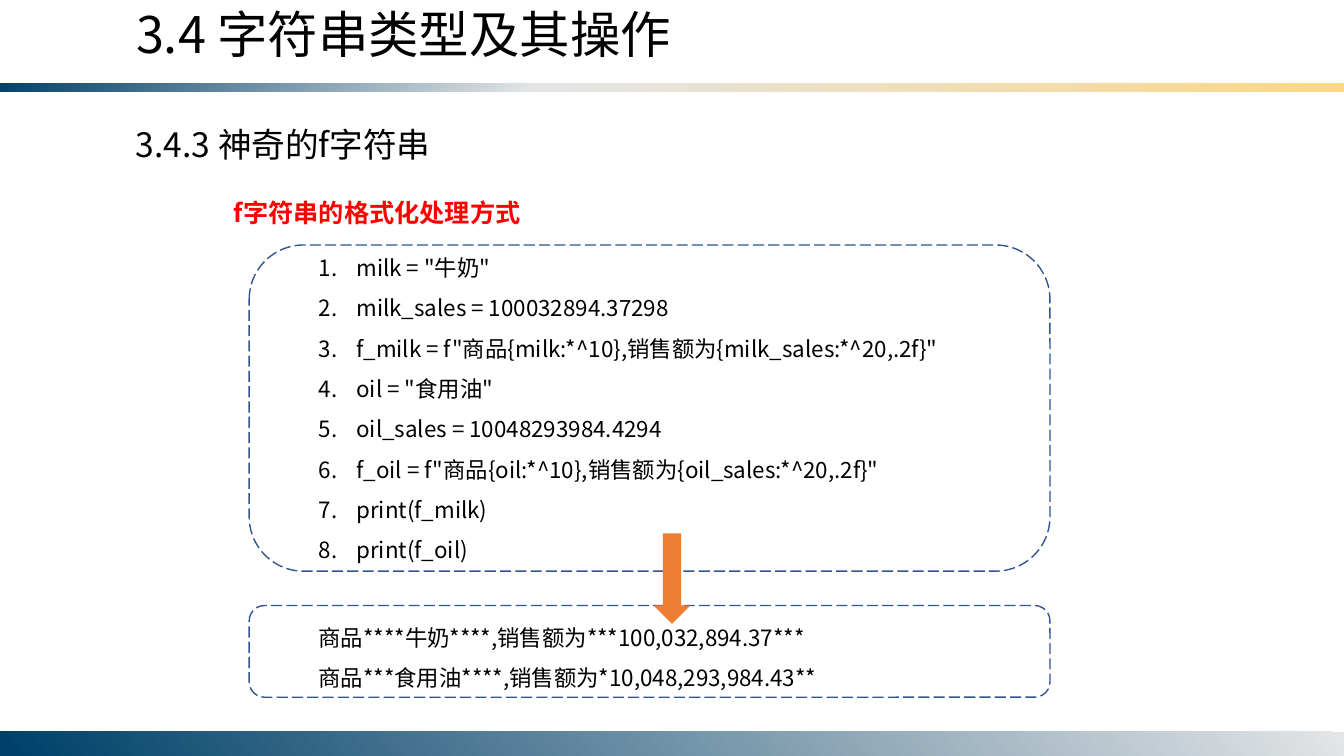
from lxml.etree import SubElement
from pptx import Presentation
from pptx.dml.color import RGBColor
from pptx.enum.dml import MSO_LINE
from pptx.enum.shapes import MSO_SHAPE as Preset
from pptx.enum.text import MSO_ANCHOR, MSO_AUTO_SIZE, PP_ALIGN
from pptx.oxml.ns import qn
from pptx.util import Pt

BLACK = RGBColor(0x00, 0x00, 0x00)
RED = RGBColor(0xFF, 0x00, 0x00)
OUTLINE = RGBColor(0x32, 0x54, 0x91)
ORANGE = RGBColor(0xED, 0x7D, 0x31)
NAVY = RGBColor(0x00, 0x41, 0x6A)
SILVER = RGBColor(0xE4, 0xE5, 0xE6)
GOLD = RGBColor(0xFB, 0xD7, 0x86)

SLIDE_WIDTH, SLIDE_HEIGHT = 960, 540
TITLE_LEFT = 90
PANEL_LEFT, PANEL_WIDTH = 178, 572
CODE_LEFT = 220.5
OUTPUT_TOP, OUTPUT_HEIGHT = 432.5, 65.5

CODE = [
    'milk = "牛奶"',
    "milk_sales = 100032894.37298",
    'f_milk = f"商品{milk:*^10},销售额为{milk_sales:*^20,.2f}"',
    'oil = "食用油"',
    "oil_sales = 10048293984.4294",
    'f_oil = f"商品{oil:*^10},销售额为{oil_sales:*^20,.2f}"',
    "print(f_milk)",
    "print(f_oil)",
]
OUTPUT = [
    "商品****牛奶****,销售额为***100,032,894.37***",
    "商品***食用油****,销售额为*10,048,293,984.43**",
]


class SlideBuilder:
    """Draws styled elements on one slide, with lengths in points."""

    font_name = "Noto Sans CJK SC"

    def __init__(self, slide):
        self.slide = slide

    def title(self, box, text, size):
        shape = self.slide.shapes.title
        shape.left, shape.top, shape.width, shape.height = map(Pt, box)
        self.fill_text(shape.text_frame, [text], size)

    def text(self, box, lines, size, **style):
        shape = self.slide.shapes.add_textbox(*map(Pt, box))
        self.fill_text(shape.text_frame, lines, size, **style)

    def fill_text(self, frame, lines, size, color=BLACK, bold=False,
                  spacing=0.9, indent=0, numbered=False):
        frame.word_wrap = True
        frame.auto_size = MSO_AUTO_SIZE.SHAPE_TO_FIT_TEXT
        frame.vertical_anchor = MSO_ANCHOR.TOP
        frame.text = "\n".join(lines)
        for paragraph in frame.paragraphs:
            paragraph.alignment = PP_ALIGN.LEFT
            paragraph.line_spacing = spacing
            properties = paragraph._p.get_or_add_pPr()
            if numbered:
                properties.set("marL", str(Pt(indent)))
                properties.set("indent", str(-Pt(indent)))
                SubElement(properties, qn("a:buAutoNum"), type="arabicPeriod")
            elif indent:
                properties.set("indent", str(Pt(indent)))
            for run in paragraph.runs:
                run.font.size = Pt(size)
                run.font.bold = bold
                run.font.color.rgb = color
                run.font.name = self.font_name
                SubElement(run._r.get_or_add_rPr(), qn("a:ea"),
                           typeface=self.font_name)

    def shape(self, preset, box):
        shape = self.slide.shapes.add_shape(preset, *map(Pt, box))
        shape.shadow.inherit = False
        return shape

    def panel(self, box):
        shape = self.shape(Preset.ROUNDED_RECTANGLE, box)
        shape.fill.background()
        shape.line.color.rgb = OUTLINE
        shape.line.width = Pt(1)
        shape.line.dash_style = MSO_LINE.LONG_DASH

    def arrow(self, box):
        shape = self.shape(Preset.DOWN_ARROW, box)
        shape.fill.solid()
        shape.fill.fore_color.rgb = ORANGE
        shape.line.color.rgb = ORANGE
        shape.line.width = Pt(1)

    def gradient_bar(self, box, stops, angle):
        shape = self.shape(Preset.RECTANGLE, box)
        shape.line.fill.background()
        shape.fill.gradient()
        gradient = shape._element.spPr.find(qn("a:gradFill"))
        gradient.find(qn("a:lin")).set("ang", str(angle * 60000))
        stop_list = gradient.find(qn("a:gsLst"))
        for old_stop in list(stop_list):
            stop_list.remove(old_stop)
        for position, color in stops:
            stop = SubElement(stop_list, qn("a:gs"), pos=str(position * 1000))
            SubElement(stop, qn("a:srgbClr"), val=str(color))


def main():
    presentation = Presentation()
    presentation.slide_width = Pt(SLIDE_WIDTH)
    presentation.slide_height = Pt(SLIDE_HEIGHT)
    layout = presentation.slide_layouts.get_by_name("Title Only")
    builder = SlideBuilder(presentation.slides.add_slide(layout))

    builder.gradient_bar((0, 59.5, SLIDE_WIDTH, 6),
                         [(0, NAVY), (40, SILVER), (100, GOLD)], 50)
    builder.gradient_bar((0, 522.5, SLIDE_WIDTH, 17.5),
                         [(0, SILVER), (99, NAVY)], 140)

    builder.title((TITLE_LEFT, 3.5, 440.5, 94.5), "3.4 字符串类型及其操作", 36)
    builder.text((TITLE_LEFT, 88.5, 459.5, 36), ["3.4.3 神奇的f字符串"], 24)
    builder.text((150, 139.5, 260, 29), ["f字符串的格式化处理方式"], 18,
                 color=RED, bold=True, indent=10)
    builder.text((CODE_LEFT, 168.5, 520, 240), CODE, 16,
                 spacing=1.5, indent=27, numbered=True)
    builder.text((CODE_LEFT, OUTPUT_TOP, 400, OUTPUT_HEIGHT), OUTPUT, 16,
                 spacing=1.5)

    builder.panel((PANEL_LEFT, 175, PANEL_WIDTH, 233))
    builder.panel((PANEL_LEFT, OUTPUT_TOP, PANEL_WIDTH, OUTPUT_HEIGHT))
    builder.arrow((468, 381.5, 24, 63.5))

    presentation.save("out.pptx")


if __name__ == "__main__":
    main()
